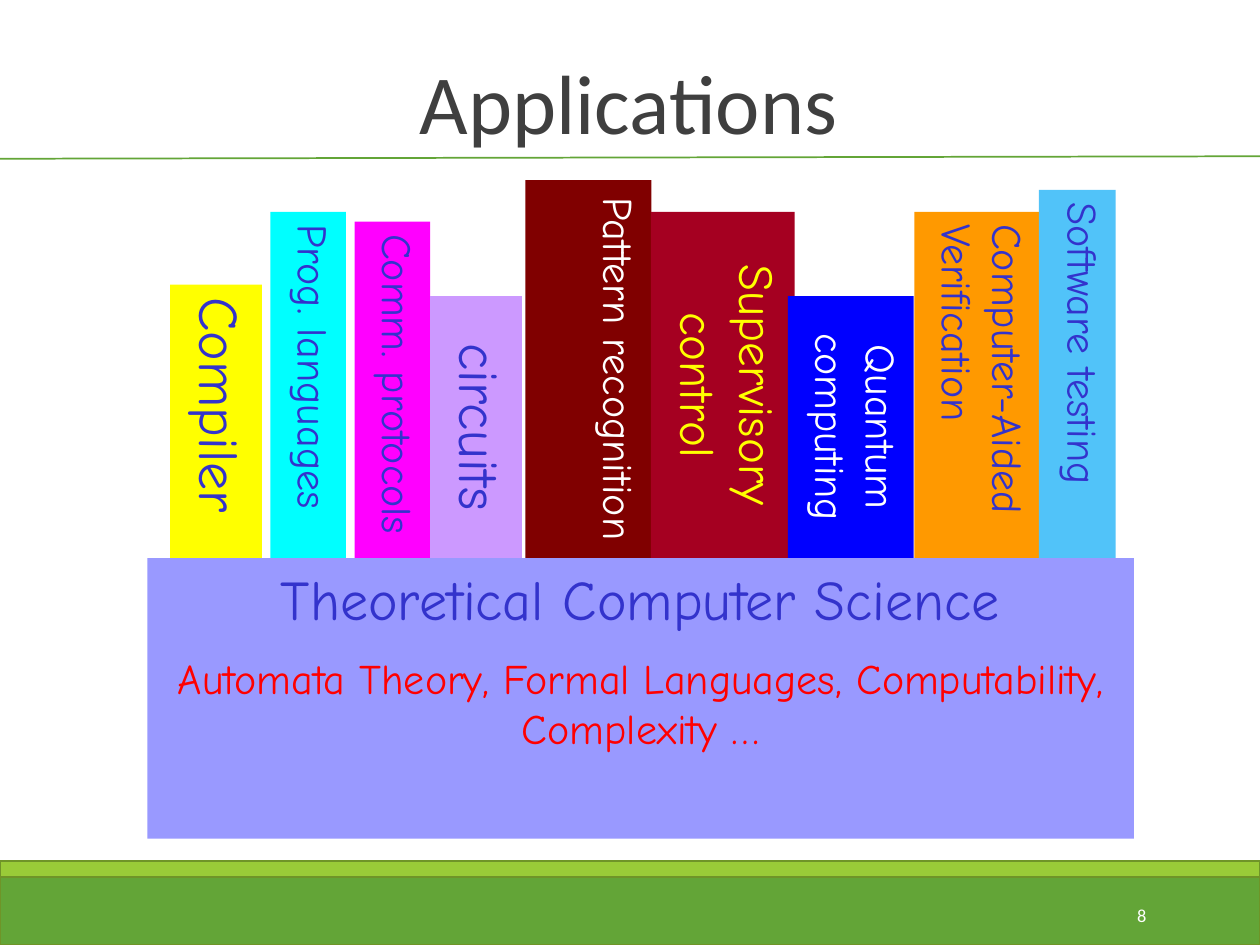
from dataclasses import dataclass

import pptx
import pptx.dml.color
import pptx.enum.shapes
import pptx.enum.text
import pptx.oxml.ns
import pptx.util
from lxml import etree

Cm = pptx.util.Cm
Pt = pptx.util.Pt
ALIGN = pptx.enum.text.PP_ALIGN
ANCHOR = pptx.enum.text.MSO_ANCHOR


@dataclass(frozen=True)
class Theme:
    """Fonts, colours and type sizes of the deck."""

    head_font: str = "Calibri"
    body_font: str = "Comic Neue"
    title: str = "3F3F3F"
    ink: str = "3333CC"
    red: str = "FF0000"
    white: str = "FFFFFF"
    yellow: str = "FFFF00"
    cyan: str = "00FFFF"
    magenta: str = "FF00FF"
    lilac: str = "CC99FF"
    maroon: str = "800000"
    crimson: str = "A50021"
    blue: str = "0000FF"
    orange: str = "FF9900"
    sky: str = "51C3F9"
    base: str = "9999FF"
    green: str = "63A537"
    lime: str = "99CB38"
    edge: str = "6F9428"
    title_size: float = 48
    large: float = 32
    medium: float = 28
    small: float = 24
    number_size: float = 10.5


class Deck:
    """Draws styled elements on the current slide."""

    def __init__(self, prs, theme):
        self.theme = theme
        self.s = prs.slides.add_slide(prs.slide_layouts[5])

    def color(self, value):
        return pptx.dml.color.RGBColor.from_string(value)

    def fill_text(self, p, text, size, color, font, align):
        p.text = text
        p.alignment = align
        for r in p.runs:
            r.font.size = Pt(size)
            r.font.name = font
            r.font.color.rgb = self.color(color)

    def frame(self, sp, anchor):
        tf = sp.text_frame
        tf.word_wrap = True
        tf.auto_size = pptx.enum.text.MSO_AUTO_SIZE.NONE
        tf.vertical_anchor = anchor
        return tf

    def title(self, text, left, top, width, height):
        sp = self.s.shapes.title
        sp.left, sp.top, sp.width, sp.height = Cm(left), Cm(top), Cm(width), Cm(height)
        p = self.frame(sp, ANCHOR.BOTTOM).paragraphs[0]
        t = self.theme
        self.fill_text(p, text, t.title_size, t.title, t.head_font, ALIGN.CENTER)
        p.line_spacing = 0.85

    def rect(self, left, top, width, height, fill, line=None):
        sp = self.s.shapes.add_shape(
            pptx.enum.shapes.MSO_SHAPE.RECTANGLE,
            Cm(left), Cm(top), Cm(width), Cm(height))
        sp.shadow.inherit = False
        sp.fill.solid()
        sp.fill.fore_color.rgb = self.color(fill)
        if line:
            sp.line.color.rgb = self.color(line)
            sp.line.width = Pt(1.25)
        else:
            sp.line.fill.background()
        return sp

    def rule(self, x1, y1, x2, y2, color):
        c = self.s.shapes.add_connector(
            pptx.enum.shapes.MSO_CONNECTOR.STRAIGHT, Cm(x1), Cm(y1), Cm(x2), Cm(y2))
        c.line.color.rgb = self.color(color)
        c.line.width = Pt(1)
        etree.SubElement(c._element.spPr, pptx.oxml.ns.qn("a:effectLst"))

    def foundation(self, left, top, width, height, heading, topics):
        t = self.theme
        tf = self.frame(self.rect(left, top, width, height, t.base), ANCHOR.TOP)
        self.fill_text(tf.paragraphs[0], heading, t.large, t.ink, t.body_font, ALIGN.CENTER)
        p = tf.add_paragraph()
        self.fill_text(p, topics, t.small, t.red, t.body_font, ALIGN.CENTER)
        p.space_before = Pt(12)

    def book(self, floor, left, thickness, length, text, fill, size, color, align):
        """Stands a sideways box on the floor line."""
        x = left + (thickness - length) / 2
        y = floor - (length + thickness) / 2
        sp = self.rect(x, y, length, thickness, fill)
        sp.rotation = 90
        p = self.frame(sp, ANCHOR.TOP).paragraphs[0]
        self.fill_text(p, text, size, color, self.theme.body_font, align)

    def number(self, text, left, top, width, height):
        sp = self.s.shapes.add_textbox(Cm(left), Cm(top), Cm(width), Cm(height))
        p = self.frame(sp, ANCHOR.MIDDLE).paragraphs[0]
        t = self.theme
        self.fill_text(p, text, t.number_size, t.white, t.head_font, ALIGN.RIGHT)


def main():
    prs = pptx.Presentation()
    prs.slide_width, prs.slide_height = Cm(25.4), Cm(19.05)
    t = Theme()
    deck = Deck(prs, t)

    deck.rect(0, 17.58, 25.4, 1.47, t.green, t.edge)
    deck.rect(0, 17.35, 25.4, 0.33, t.lime, t.edge)
    deck.rule(0, 3.2, 25.4, 3.15, t.green)
    deck.title("Applications", 1.24, 0.64, 22.86, 2.54)

    floor = 11.25
    deck.foundation(2.97, floor, 19.89, 5.66, "Theoretical Computer Science",
                    "Automata Theory, Formal Languages, Computability, Complexity …")

    left, center = ALIGN.LEFT, ALIGN.CENTER
    books = [
        (3.43, 1.85, 5.51, "Compiler", t.yellow, t.large, t.ink, left),
        (5.45, 1.52, 6.98, "Prog. languages", t.cyan, t.small, t.ink, left),
        (7.15, 1.52, 6.78, "Comm. protocols", t.magenta, t.small, t.ink, left),
        (8.67, 1.85, 5.28, "circuits", t.lilac, t.large, t.ink, center),
        (10.59, 2.54, 7.62, "Pattern recognition", t.maroon, t.small, t.white, center),
        (13.12, 2.9, 6.98, "Supervisory control", t.crimson, t.medium, t.yellow, center),
        (15.88, 2.54, 5.28, "Quantum computing", t.blue, t.small, t.white, center),
        (18.43, 2.54, 6.98, "Computer-Aided Verification", t.orange, t.small, t.ink, left),
        (20.94, 1.55, 7.42, "Software testing", t.sky, t.small, t.ink, left),
    ]
    for book in books:
        deck.book(floor, *book)

    deck.number("8", 20.62, 17.93, 2.74, 1.02)
    prs.save("out.pptx")


if __name__ == "__main__":
    main()
